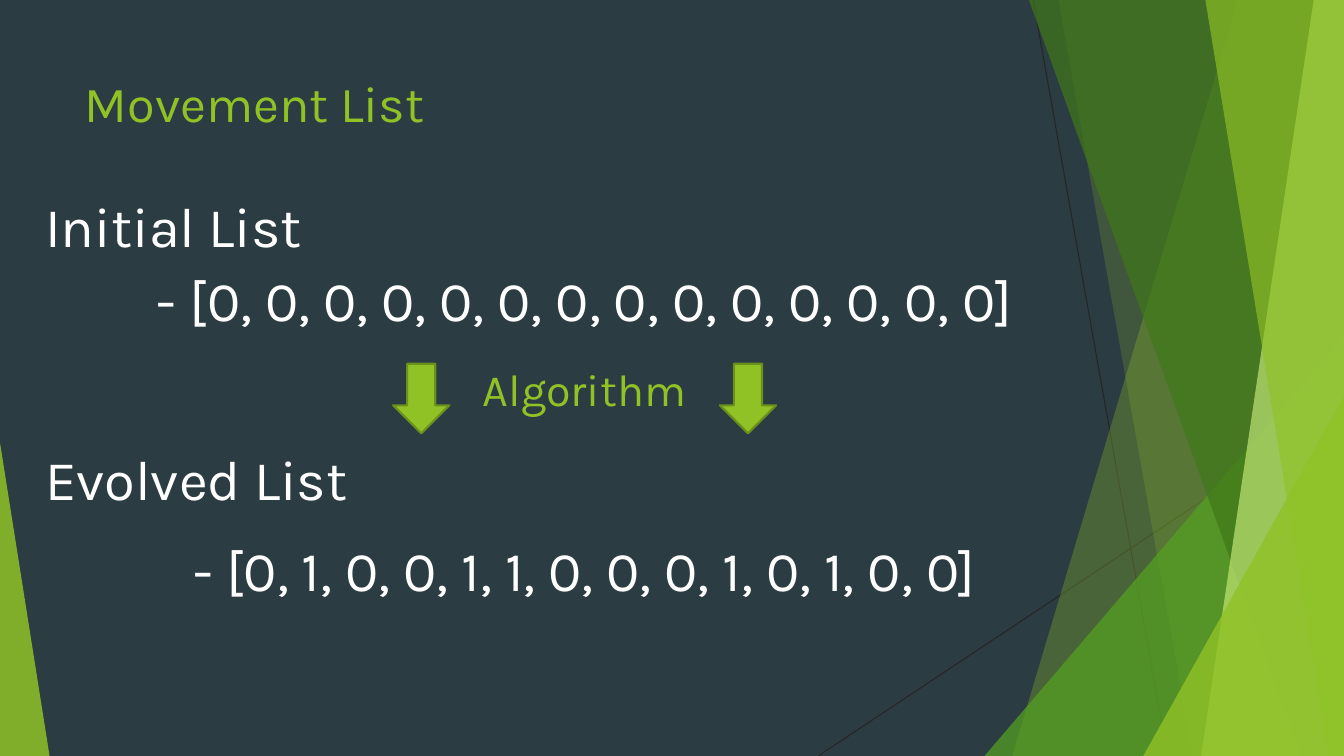
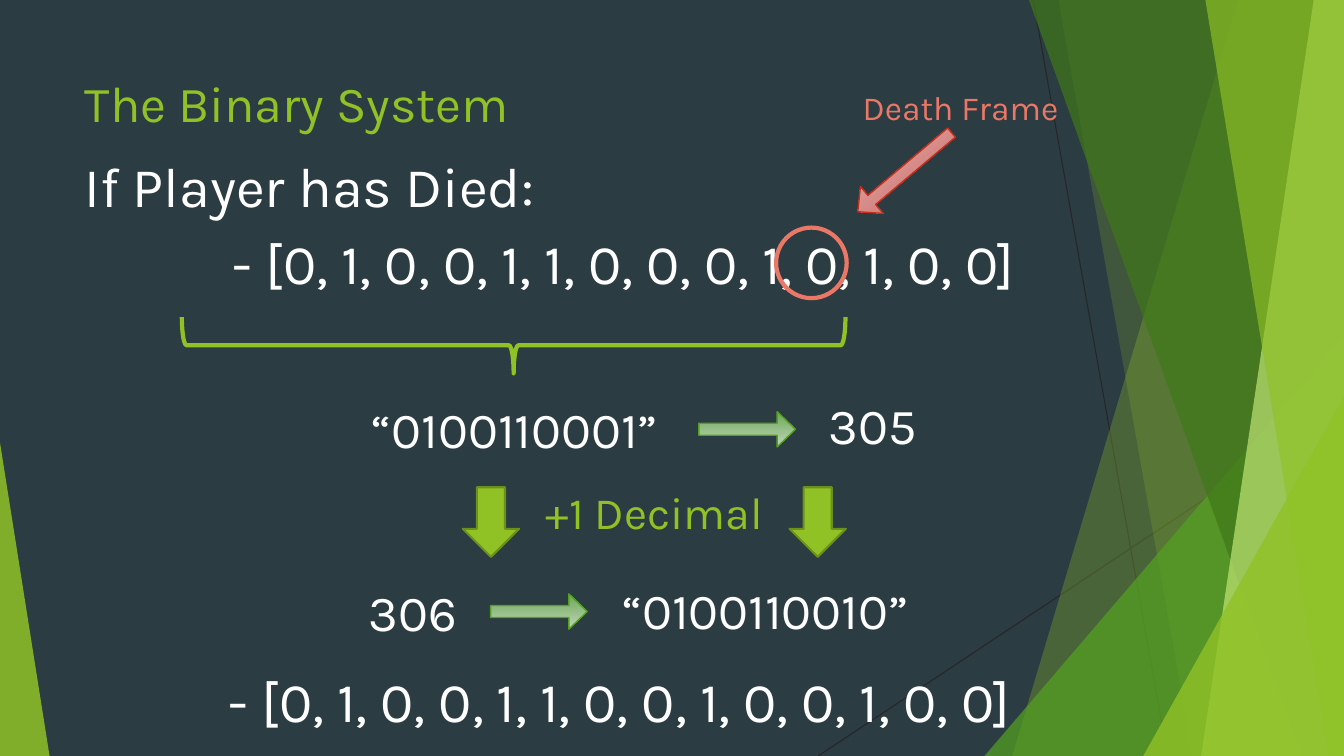
from pptx import Presentation, util as u
from pptx.dml.color import RGBColor
from pptx.enum import shapes as kinds, text as t
from pptx.oxml.ns import qn
from lxml import etree

SLATE = RGBColor(0x2C, 0x3C, 0x43)
CHARCOAL = RGBColor(0x26, 0x26, 0x26)
WHITE = RGBColor(0xFF, 0xFF, 0xFF)
LIME = RGBColor(0x90, 0xC2, 0x26)
PALE_LIME = RGBColor(0xC0, 0xE4, 0x74)
OLIVE = RGBColor(0x6B, 0x90, 0x1C)
GREEN = RGBColor(0x54, 0xA0, 0x21)
FOREST = RGBColor(0x3F, 0x78, 0x19)
CORAL = RGBColor(0xEB, 0x77, 0x66)
RED = RGBColor(0xC4, 0x2F, 0x1A)
GREEN_FADE = RGBColor(0xC0, 0xD6, 0xB9), RGBColor(0x76, 0xAD, 0x61)
RED_FADE = RGBColor(0xE6, 0xBF, 0xBE), RGBColor(0xCB, 0x65, 0x60)

FONT = "Karla"
COLS, ROWS = 160, 90
CELL = u.Inches(1) / 12  # the grid has square cells
MARGIN = 8.9
LIST_W, LABEL_W, NUMBER_W = 121.4, 65.4, 32.4
STEP_W, STEP_ARROW_W = 45.6, 6.7
LEFT, CENTER = t.PP_ALIGN.LEFT, t.PP_ALIGN.CENTER
PRESET = kinds.MSO_SHAPE


def draw(slide, preset, box, fill=None, line=None, width=0, turn=0, adjust=()):
    """Add a preset shape on the grid; a pair of fill colours makes a gradient."""
    shape = slide.shapes.add_shape(preset, *[round(n * CELL) for n in box])
    shape.shadow.inherit = False
    shape.rotation = turn
    for i, value in enumerate(adjust):
        shape.adjustments[i] = value
    if fill is None:
        shape.fill.background()
    elif isinstance(fill, RGBColor):
        shape.fill.solid()
        shape.fill.fore_color.rgb = fill
    else:
        shape.fill.gradient()
        shape.fill.gradient_angle = 270
        for stop, colour, position in zip(shape.fill.gradient_stops, fill, (0, 0.88)):
            stop.color.rgb = colour
            stop.position = position
    if line is None:
        shape.line.fill.background()
    else:
        shape.line.color.rgb = line
        shape.line.width = u.Pt(width)
    return shape


def write(frame, words, size, colour, align=LEFT):
    frame.word_wrap = True
    paragraph = frame.paragraphs[0]
    paragraph.alignment = align
    run = paragraph.add_run()
    run.text = words
    run.font.name = FONT
    run.font.size = u.Pt(size)
    run.font.color.rgb = colour


deck = Presentation()
deck.slide_width = round(COLS * CELL)
deck.slide_height = round(ROWS * CELL)
deck.slide_master.background.fill.solid()
deck.slide_master.background.fill.fore_color.rgb = SLATE

# Shared title place
layout = deck.slide_layouts[5]
heading = layout.placeholders[0]
heading.left, heading.top, heading.width, heading.height = [
    round(n * CELL) for n in (MARGIN, 8, 112.8, 10.8)]
heading.text_frame.vertical_anchor = t.MSO_ANCHOR.TOP
heading.text_frame.auto_size = t.MSO_AUTO_SIZE.NONE

movement, binary = [deck.slides.add_slide(layout) for _ in range(2)]
for slide, title in ((movement, "Movement List"), (binary, "The Binary System")):
    write(slide.shapes.title.text_frame, title, 36, LIME)

# Shared facets: drawn on a slide, then moved to the layout
decor = []
for ends in ((123, 0, 139, ROWS), (COLS, 48.4, 97.4, ROWS)):
    ray = movement.shapes.add_connector(
        kinds.MSO_CONNECTOR.STRAIGHT, *[round(n * CELL) for n in ends])
    ray.line.color.rgb = CHARCOAL
    ray.line.width = u.Pt(0.75)
    etree.SubElement(ray._element.spPr, qn("a:effectLst"))
    decor.append(ray)

# Bands run from a top column to a bottom column; triangles have a box and an apex
facets = [
    ((147.4, 120.5), None, LIME, 30),
    ((126, 142), None, LIME, 20),
    ((117.2, 40, 42.8, 50), 1, GREEN, 72),
    ((122.5, 154.9), None, FOREST, 70),
    ((156.4, 143), None, PALE_LIME, 70),
    ((143.5, 158.2), None, LIME, 65),
    ((136.1, 47.2, 23.9, 42.8), 1, LIME, 80),
    ((0, 52.7, 5.9, 37.3), 0, LIME, 85),
]
for place, apex, colour, opacity in facets:
    if apex is None:
        top, bottom = [round(n * CELL) for n in place]
        pen = movement.shapes.build_freeform(top, 0)
        pen.add_line_segments([(deck.slide_width, 0),
                               (deck.slide_width, deck.slide_height),
                               (bottom, deck.slide_height)])
        facet = pen.convert_to_shape()
        facet.shadow.inherit = False
        facet.fill.solid()
        facet.fill.fore_color.rgb = colour
        facet.line.fill.background()
    else:
        facet = draw(movement, PRESET.ISOSCELES_TRIANGLE, place, colour, adjust=[apex])
    tint = facet._element.spPr.find(qn("a:solidFill"))[0]
    etree.SubElement(tint, qn("a:alpha"), val=str(opacity * 1000))
    decor.append(facet)
for part in decor:
    layout.shapes._spTree.append(part._element)

# Text: slide, words, left, top, width, size, colour, alignment
EVOLVED = "- [0, 1, 0, 0, 1, 1, 0, 0, 0, 1, 0, 1, 0, 0]"
texts = [
    (movement, "Initial List", 4.2, 22.2, LABEL_W, 40, WHITE, LEFT),
    (movement, "- [0, 0, 0, 0, 0, 0, 0, 0, 0, 0, 0, 0, 0, 0]",
     MARGIN, 31, LIST_W, 40, WHITE, CENTER),
    (movement, "Algorithm", 46.8, 42.5, STEP_W, 32, LIME, CENTER),
    (movement, "Evolved List", 4.2, 52.3, LABEL_W, 40, WHITE, LEFT),
    (movement, EVOLVED, MARGIN, 63.2, LIST_W, 40, WHITE, CENTER),
    (binary, "If Player has Died:", MARGIN, 17.5, LABEL_W, 40, WHITE, LEFT),
    (binary, EVOLVED, 13.6, 26.6, LIST_W, 40, WHITE, CENTER),
    (binary, "Death Frame", 100.8, 9.7, 27.1, 24, CORAL, CENTER),
    (binary, "“0100110001”", 28.6, 46.8, LABEL_W, 36, WHITE, CENTER),
    (binary, "305", 87.7, 46.3, NUMBER_W, 36, WHITE, CENTER),
    (binary, "+1 Decimal", 55.1, 57.1, STEP_W, 32, LIME, CENTER),
    (binary, "306", 33, 68.6, NUMBER_W, 36, WHITE, CENTER),
    (binary, "“0100110010”", 58.4, 68.3, LABEL_W, 36, WHITE, CENTER),
    (binary, "- [0, 1, 0, 0, 1, 1, 0, 0, 1, 0, 0, 1, 0, 0]",
     13.1, 78.8, LIST_W, 40, WHITE, CENTER),
]
for slide, words, left, top, width, size, colour, align in texts:
    height = size * 0.2 + 1.3
    box = slide.shapes.add_textbox(*[round(n * CELL) for n in (left, top, width, height)])
    box.text_frame.auto_size = t.MSO_AUTO_SIZE.SHAPE_TO_FIT_TEXT
    write(box.text_frame, words, size, colour, align)

# A down arrow at each end of a step label
for slide, left, top in ((movement, 46.8, 43.3), (binary, 55.1, 58)):
    for x in (left, left + STEP_W - STEP_ARROW_W):
        draw(slide, PRESET.DOWN_ARROW, (x, top, STEP_ARROW_W, 8.3), LIME, OLIVE, 1.5)

# Marks on the binary list
draw(binary, PRESET.OVAL, (92.4, 27.1, 8.4, 8.4), line=CORAL, width=3)
draw(binary, PRESET.LEFT_BRACE, (57.8, 1.6, 6.7, 79), line=LIME, width=3, turn=270)
SLIM = (0.34, 0.52)
draw(binary, PRESET.LEFT_ARROW, (100.4, 18.4, 14.6, 4.2), RED_FADE, RED, 1, 319.8, SLIM)
for left, top in ((83.2, 49), (58.4, 70.7)):
    draw(binary, PRESET.LEFT_ARROW, (left, top, 11.5, 4.2), GREEN_FADE, GREEN, 1, 180, SLIM)

deck.save("out.pptx")
